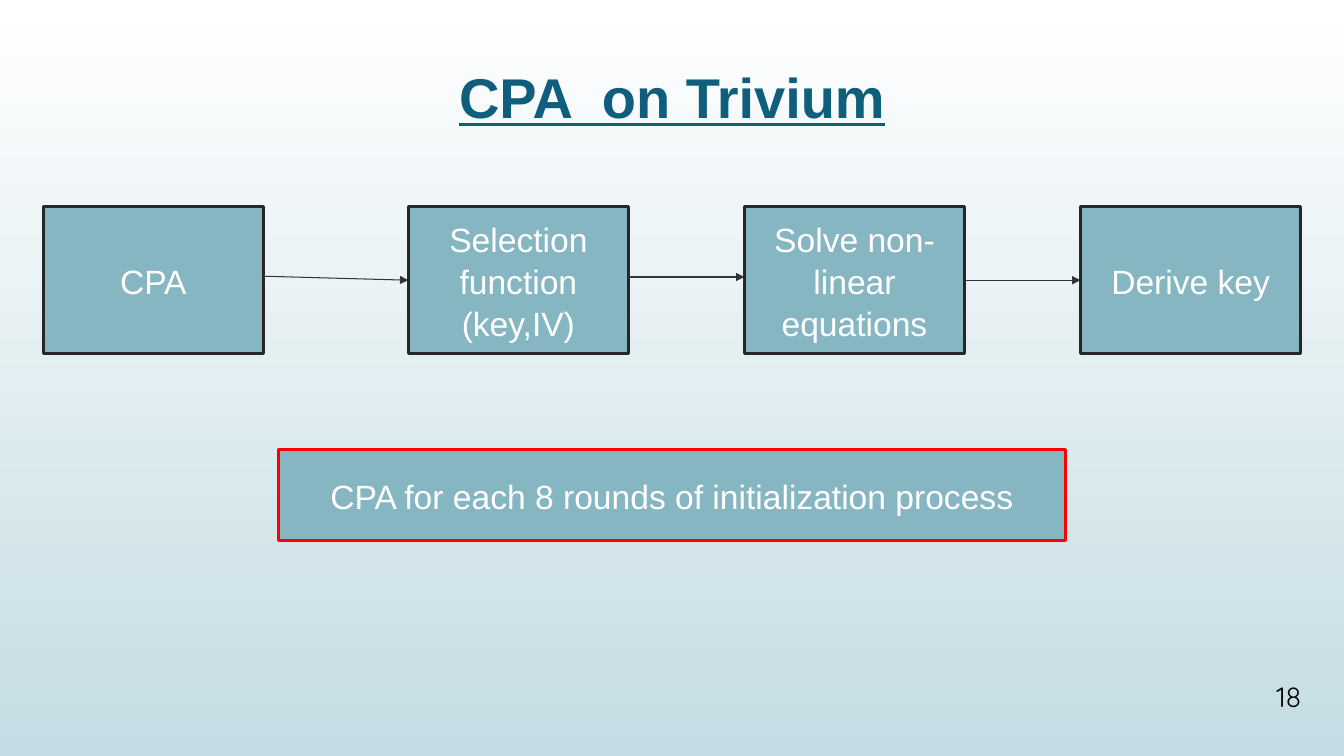
from lxml.etree import SubElement
from pptx import Presentation
from pptx.dml.color import RGBColor
from pptx.enum.shapes import MSO_CONNECTOR, MSO_SHAPE
from pptx.enum.text import MSO_ANCHOR, MSO_AUTO_SIZE, PP_ALIGN
from pptx.oxml.ns import qn
from pptx.util import Cm, Pt


def color(hex_string):
    return RGBColor.from_string(hex_string)


def write(shape, text, anchor, align, line_spacing, font_color, **font_values):
    frame = shape.text_frame
    frame.text = text
    frame.auto_size = MSO_AUTO_SIZE.NONE
    frame.word_wrap = True
    frame.vertical_anchor = anchor
    paragraph = frame.paragraphs[0]
    paragraph.alignment = align
    paragraph.line_spacing = line_spacing
    font = paragraph.runs[0].font
    font.color.rgb = color(font_color)
    for name, value in font_values.items():
        setattr(font, name, value)


presentation = Presentation()
presentation.slide_width = Cm(33.87)
presentation.slide_height = Cm(19.05)
slide = presentation.slides.add_slide(presentation.slide_layouts[5])

# Background: white at the top to pale blue at the bottom
background = slide.background.fill
background.gradient()
background.gradient_angle = 270
for stop, stop_color in zip(background.gradient_stops, ("FFFFFF", "C4DCE3")):
    stop.color.rgb = color(stop_color)

# Title
title = slide.shapes.title
title.left, title.top, title.width, title.height = Cm(0), Cm(1.17), Cm(33.87), Cm(2.9)
title.text_frame.margin_top = Cm(0.4)
write(title, "CPA  on Trivium", MSO_ANCHOR.TOP, PP_ALIGN.CENTER, 1.0, "0F5E7C",
      name="Arial", size=Pt(40), bold=True, underline=True)

# Four steps and the note below them: text, left, top, width, height, line
step_top, step_width, step_height = 5.21, 5.55, 3.7
steps = [("CPA", 1.09), ("Selection function (key,IV)", 10.29),
         ("Solve non-linear equations", 18.76), ("Derive key", 27.23)]
rectangles = [(text, left, step_top, step_width, step_height, "272727", 2)
              for text, left in steps]
rectangles.append(("CPA for each 8 rounds of initialization process",
                   7.01, 11.32, 19.84, 2.31, "FF0000", 2.25))
boxes = []
for text, left, top, width, height, line_color, line_width in rectangles:
    box = slide.shapes.add_shape(MSO_SHAPE.RECTANGLE, Cm(left), Cm(top), Cm(width), Cm(height))
    box.shadow.inherit = False
    box.fill.solid()
    box.fill.fore_color.rgb = color("86B6C2")
    box.line.color.rgb = color(line_color)
    box.line.width = Pt(line_width)
    write(box, text, MSO_ANCHOR.MIDDLE, PP_ALIGN.CENTER, 1.05, "FFFFFF",
          name="Arial", size=Pt(24))
    boxes.append(box)

# Arrows between neighbouring steps: start height, end height
middle = step_top + step_height / 2
arrow_heights = [(6.96, middle), (6.98, 6.98), (middle, middle)]
for index, (start, end) in enumerate(arrow_heights):
    source, target = boxes[index], boxes[index + 1]
    arrow = slide.shapes.add_connector(MSO_CONNECTOR.STRAIGHT, source.left + source.width,
                                       Cm(start), target.left, Cm(end))
    if start == middle:
        arrow.begin_connect(source, 3)
    if end == middle:
        arrow.end_connect(target, 1)
    arrow.line.color.rgb = color("343434")
    arrow.line.width = Pt(0.75)
    SubElement(arrow.line._get_or_add_ln(), qn("a:tailEnd"), type="triangle")
    SubElement(arrow._element.spPr, qn("a:effectLst"))

# Slide number
number = slide.shapes.add_textbox(Cm(30.89), Cm(17.04), Cm(2.16), Cm(1.02))
write(number, "18", MSO_ANCHOR.MIDDLE, PP_ALIGN.RIGHT, 1.0, "000000",
      name="Quicksand", size=Pt(20))

presentation.save("out.pptx")
